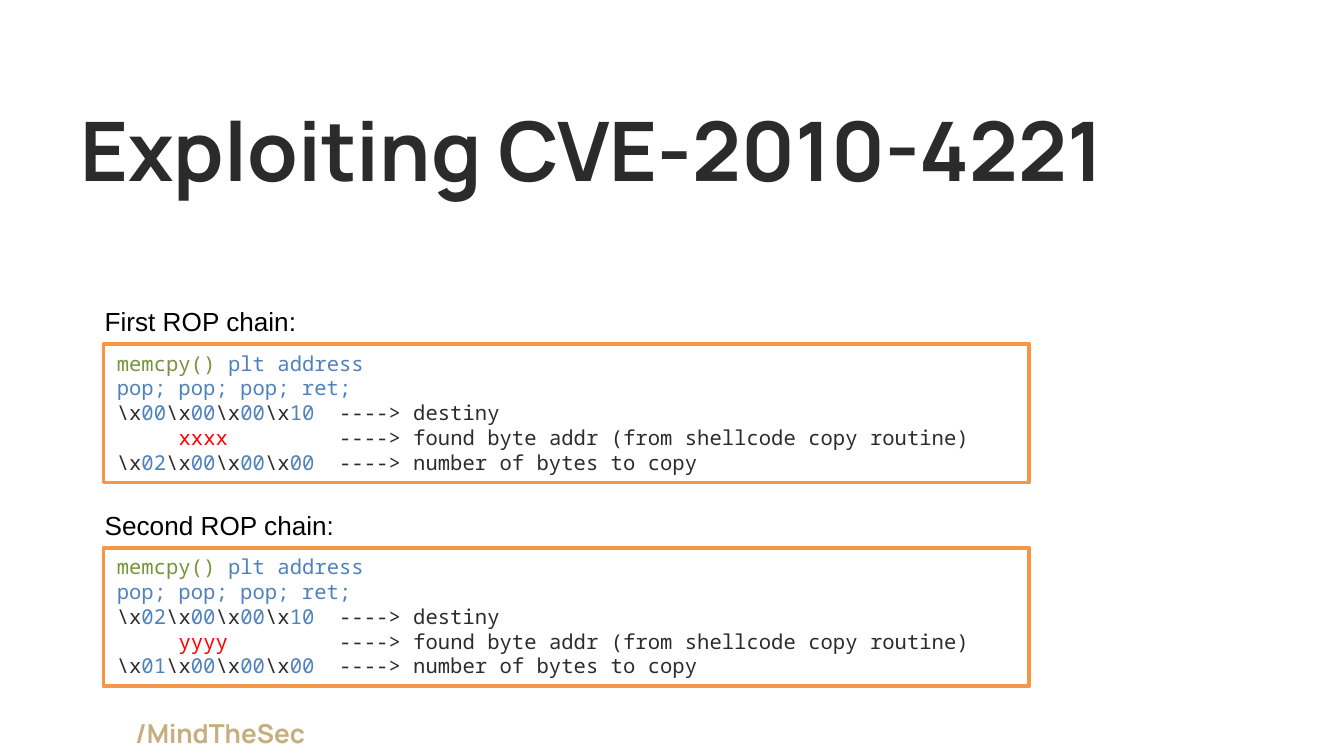
from pptx import Presentation
from pptx.dml.color import RGBColor
from pptx.enum import shapes, text
from pptx.util import Pt

COLORS = {
    "white": "FFFFFF", "black": "000000", "title": "2B2B2B", "gold": "C6AE7F",
    "border": "F79646", "function": "77933C", "value": "4F81BD",
    "code": "2C2C2C", "marker": "FF0000",
}


def color(name):
    return RGBColor.from_string(COLORS[name])


def style_run(r, font, size, color_name, bold=False):
    r.font.name = font
    r.font.size = Pt(size)
    r.font.bold = bold
    r.font.color.rgb = color(color_name)


def add_label(s, box, words, font, size, color_name, bold=False,
              inset=7.2, anchor=text.MSO_ANCHOR.TOP):
    tf = s.shapes.add_textbox(*map(Pt, box)).text_frame
    tf.word_wrap = True
    tf.vertical_anchor = anchor
    tf.margin_left = tf.margin_right = Pt(7.2)
    tf.margin_top = tf.margin_bottom = Pt(inset)
    tf.text = words
    style_run(tf.paragraphs[0].runs[0], font, size, color_name, bold)


def address_line(values, note):
    line = []
    for value in values.split():
        line += [("\\x", "code"), (value, "value")]
    return line + [("  ----> " + note, "code")]


def add_chain(s, box, heading, destiny, marker, count):
    left, top, width, height = box
    add_label(s, (left, top, 160, 24.5), heading, "Arial", 14, "black", inset=3.6)

    sp = s.shapes.add_shape(shapes.MSO_SHAPE.RECTANGLE, Pt(left + 6.5),
                            Pt(top + 24.3), Pt(width - 6.5), Pt(height - 24.3))
    sp.shadow.inherit = False
    sp.fill.solid()
    sp.fill.fore_color.rgb = color("white")
    sp.line.color.rgb = color("border")
    sp.line.width = Pt(2)

    lines = [
        [("memcpy() ", "function"), ("plt address", "value")],
        [("pop; pop; pop; ret;", "value")],
        address_line(destiny, "destiny"),
        [("     ", "code"), (marker, "marker"),
         ("         ----> found byte addr (from shellcode copy routine)", "code")],
        address_line(count, "number of bytes to copy"),
    ]
    tf = sp.text_frame
    tf.word_wrap = True
    tf.vertical_anchor = text.MSO_ANCHOR.TOP
    for i, line in enumerate(lines):
        p = tf.paragraphs[0] if i == 0 else tf.add_paragraph()
        p.alignment = text.PP_ALIGN.LEFT
        p.line_spacing = Pt(13.25)
        for words, color_name in line:
            r = p.add_run()
            r.text = words
            style_run(r, "Noto Sans Mono", 11, color_name)


def main():
    prs = Presentation()
    prs.slide_width, prs.slide_height = Pt(720), Pt(405)
    s = prs.slides.add_slide(prs.slide_layouts[6])

    add_label(s, (65.5, 377.3, 114, 16.5), "/MindTheSec", "Manrope", 14, "gold", True)
    add_label(s, (36, 46, 648, 67.7), "Exploiting CVE-2010-4221", "Manrope", 44,
              "title", True, anchor=text.MSO_ANCHOR.MIDDLE)

    chains = [
        ("First ROP chain:", "00 00 00 10", "xxxx", "02 00 00 00"),
        ("Second ROP chain:", "02 00 00 10", "yyyy", "01 00 00 00"),
    ]
    for i, chain in enumerate(chains):
        add_chain(s, (49, 160 + 109.2 * i, 502.5, 98.5), *chain)

    prs.save("out.pptx")


if __name__ == "__main__":
    main()
